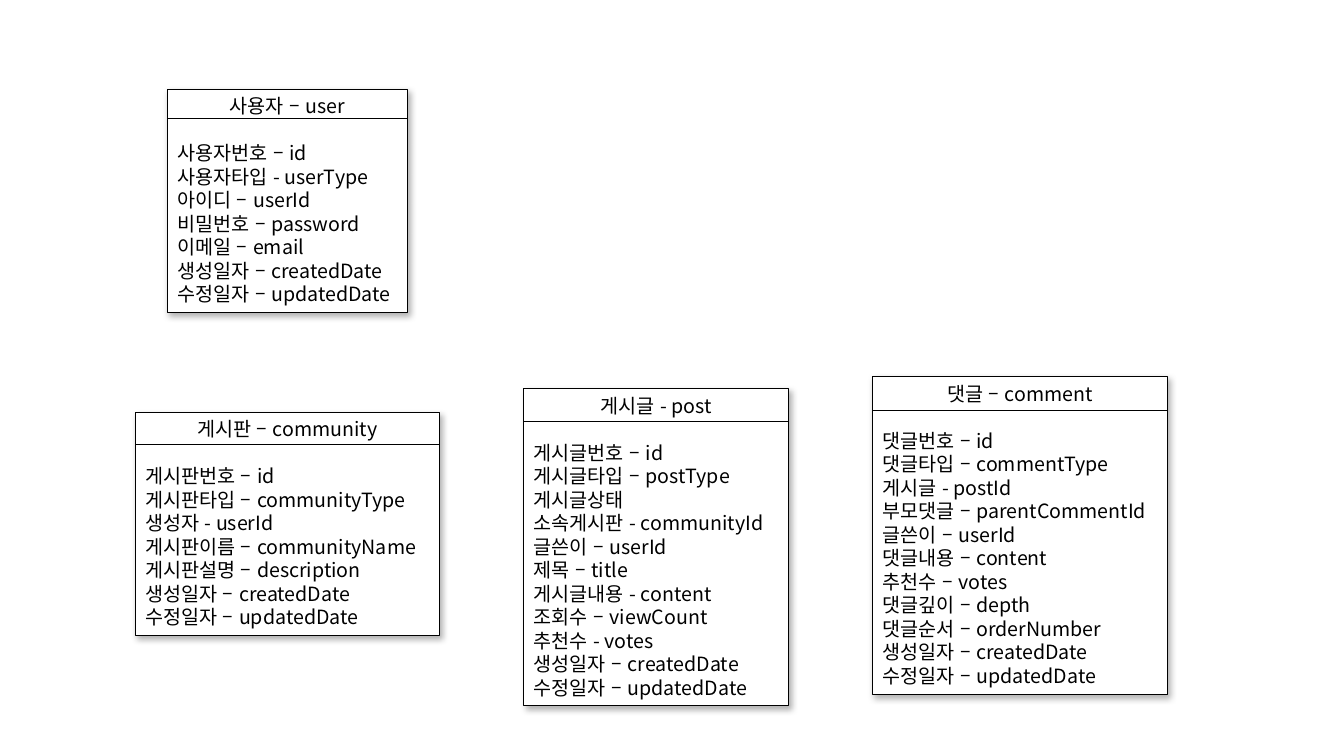
from dataclasses import dataclass

from lxml.etree import SubElement
from pptx import Presentation
from pptx.dml.color import RGBColor
from pptx.enum.lang import MSO_LANGUAGE_ID
from pptx.enum.shapes import MSO_CONNECTOR, MSO_SHAPE
from pptx.enum.text import MSO_ANCHOR, MSO_AUTO_SIZE, PP_ALIGN
from pptx.oxml.ns import qn
from pptx.shapes.autoshape import Shape
from pptx.shapes.group import GroupShape
from pptx.slide import Slide
from pptx.util import Inches, Length, Pt


@dataclass(frozen=True)
class Theme:
    ink: str = "000000"
    paper: str = "FFFFFF"
    font: str = "Noto Sans CJK KR"
    size: float = 14
    border: float = 0.75
    rule: float = 0.5


@dataclass(frozen=True)
class Entity:
    """A database entity; lengths are grid columns and rows."""
    col: float
    row: float
    cols: float
    header_rows: float
    title: str
    fields: list[str]

    @property
    def rows(self) -> float:
        # Title, gap and fields, plus the top and bottom insets
        return (len(self.fields) + 2) * LINE_ROWS + 1.2


THEME = Theme()
LINE_ROWS = 2.33

ENTITIES = [
    Entity(13.4, 40.9, 30.2, 3.2, "게시판 – community", [
        "게시판번호 – id", "게시판타입 – communityType", "생성자 - userId",
        "게시판이름 – communityName", "게시판설명 – description",
        "생성일자 – createdDate", "수정일자 – updatedDate"]),
    Entity(16.6, 8.85, 23.8, 2.85, "사용자 – user", [
        "사용자번호 – id", "사용자타입 - userType", "아이디 – userId",
        "비밀번호 – password", "이메일 – email",
        "생성일자 – createdDate", "수정일자 – updatedDate"]),
    Entity(51.95, 38.55, 26.25, 3.25, "게시글 - post", [
        "게시글번호 – id", "게시글타입 – postType", "게시글상태",
        "소속게시판 - communityId", "글쓴이 – userId", "제목 – title",
        "게시글내용 - content", "조회수 – viewCount", "추천수 - votes",
        "생성일자 – createdDate", "수정일자 – updatedDate"]),
    Entity(86.55, 37.4, 29.25, 3.3, "댓글 – comment", [
        "댓글번호 – id", "댓글타입 – commentType", "게시글 - postId",
        "부모댓글 – parentCommentId", "글쓴이 – userId",
        "댓글내용 – content", "추천수 – votes", "댓글깊이 – depth",
        "댓글순서 – orderNumber", "생성일자 – createdDate",
        "수정일자 – updatedDate"]),
]


def grid(cells: float) -> Length:
    """Ten columns or rows make one inch."""
    return Inches(cells / 10)


def set_all(target: object, values: dict) -> None:
    for name, value in values.items():
        setattr(target, name, value)


def add_shadow(s: Shape) -> None:
    s.shadow.inherit = False
    effects = s._element.spPr.find(qn("a:effectLst"))
    shadow = SubElement(effects, qn("a:outerShdw"), blurRad=str(Pt(4.5)),
                        dist=str(Pt(2.6)), dir=str(53 * 60000),
                        algn="tl", rotWithShape="0")
    color = SubElement(shadow, qn("a:srgbClr"), val=THEME.ink)
    SubElement(color, qn("a:alpha"), val="30000")


def write_text(s: Shape, entity: Entity) -> None:
    tf = s.text_frame
    set_all(tf, {"word_wrap": True, "vertical_anchor": MSO_ANCHOR.TOP,
                 "auto_size": MSO_AUTO_SIZE.NONE})
    for i, text in enumerate([entity.title, *entity.fields]):
        p = tf.add_paragraph() if i else tf.paragraphs[0]
        set_all(p, {"alignment": PP_ALIGN.LEFT if i else PP_ALIGN.CENTER,
                    "line_spacing": grid(LINE_ROWS),
                    "space_after": Pt(0) if i else grid(LINE_ROWS)})
        r = p.add_run()
        r.text = text
        set_all(r.font, {"name": THEME.font, "size": Pt(THEME.size),
                         "language_id": MSO_LANGUAGE_ID.KOREAN})
        r.font.color.rgb = RGBColor.from_string(THEME.ink)
        SubElement(r.font._element, qn("a:ea"), typeface=THEME.font)


def add_box(group: GroupShape, entity: Entity) -> None:
    s = group.shapes.add_shape(MSO_SHAPE.RECTANGLE, grid(entity.col), grid(entity.row),
                               grid(entity.cols), grid(entity.rows))
    s.fill.solid()
    s.fill.fore_color.rgb = RGBColor.from_string(THEME.paper)
    s.line.color.rgb = RGBColor.from_string(THEME.ink)
    s.line.width = Pt(THEME.border)
    add_shadow(s)
    write_text(s, entity)


def add_header_rule(group: GroupShape, entity: Entity) -> None:
    y = grid(entity.row + entity.header_rows)
    line = group.shapes.add_connector(MSO_CONNECTOR.STRAIGHT, grid(entity.col), y,
                                      grid(entity.col + entity.cols), y)
    line.line.color.rgb = RGBColor.from_string(THEME.ink)
    line.line.width = Pt(THEME.rule)
    SubElement(line._element.spPr, qn("a:effectLst"))


def add_entity(slide: Slide, entity: Entity) -> None:
    group = slide.shapes.add_group_shape()
    add_box(group, entity)
    add_header_rule(group, entity)


def main() -> None:
    prs = Presentation()
    set_all(prs, {"slide_width": Inches(13.33), "slide_height": Inches(7.5)})
    slide = prs.slides.add_slide(prs.slide_layouts[6])
    for entity in ENTITIES:
        add_entity(slide, entity)
    prs.save("out.pptx")


if __name__ == "__main__":
    main()
